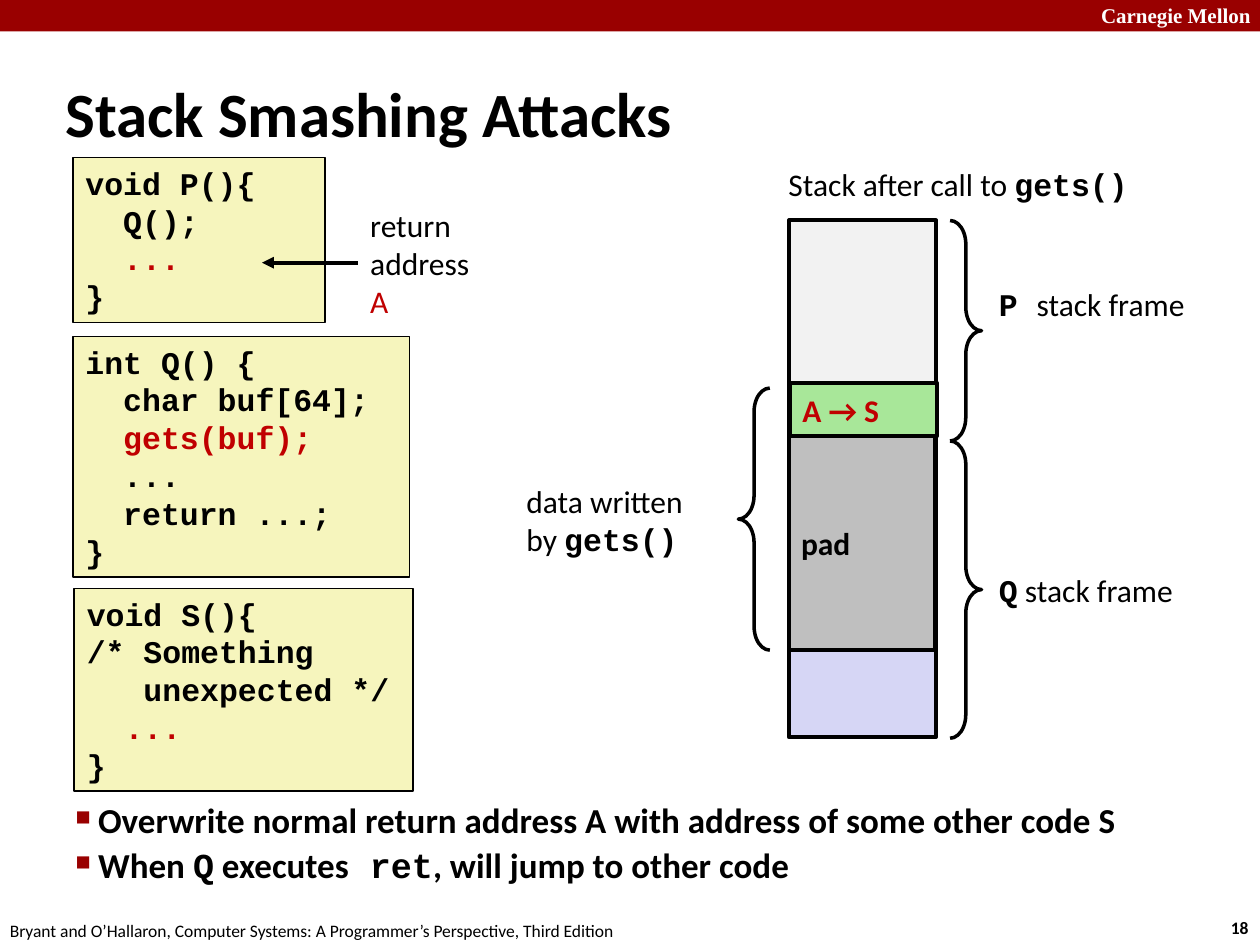
import pptx
import pptx.util
import pptx.dml.color
import pptx.enum.shapes
import pptx.enum.text
import pptx.oxml
import pptx.oxml.ns
from dataclasses import dataclass
from pptx.util import Inches

SHAPE = pptx.enum.shapes.MSO_SHAPE
ANCHOR = pptx.enum.text.MSO_ANCHOR
NAMESPACE = pptx.oxml.ns.nsdecls("a")


@dataclass
class Theme:
    sans: str = "Calibri"
    mono: str = "Courier New"
    serif: str = "Times New Roman"
    black: str = "000000"
    white: str = "FFFFFF"
    banner: str = "990000"
    accent: str = "C00000"
    code_fill: str = "F6F5BD"
    caller_fill: str = "F2F2F2"
    callee_fill: str = "D6D6F5"
    pad_fill: str = "BFBFBF"
    address_fill: str = "A8E799"
    title: int = 36
    bullet: int = 20
    normal: int = 18
    header: int = 12
    footer: int = 10


theme = Theme()
deck = pptx.Presentation()
deck.slide_width, deck.slide_height = Inches(10), Inches(7.5)
page = deck.slides.add_slide(deck.slide_layouts[6])


def write(box, lines, size=theme.normal, anchor=ANCHOR.MIDDLE, wrap=False):
    """Fill a shape with lines of (text, font, bold, colour) runs."""
    frame = box.text_frame
    frame.word_wrap = wrap
    frame.vertical_anchor = anchor
    for index, line in enumerate(lines):
        para = frame.paragraphs[0] if index == 0 else frame.add_paragraph()
        para.alignment = pptx.enum.text.PP_ALIGN.LEFT
        for text, font, bold, colour in line:
            span = para.add_run()
            span.text = text
            span.font.name = font
            span.font.size = pptx.util.Pt(size)
            span.font.bold = bold
            span.font.color.rgb = pptx.dml.color.RGBColor.from_string(colour)
    return box


def draw(kind, place, fill=None, line_width=None):
    shape = page.shapes.add_shape(kind, *map(Inches, place))
    shape.shadow.inherit = False
    if fill:
        shape.fill.solid()
        shape.fill.fore_color.rgb = pptx.dml.color.RGBColor.from_string(fill)
    else:
        shape.fill.background()
    if line_width:
        shape.line.width = pptx.util.Pt(line_width)
        shape.line.color.rgb = pptx.dml.color.RGBColor.from_string(theme.black)
    else:
        shape.line.fill.background()
    return shape


# Banner, footer and title
draw(SHAPE.RECTANGLE, (0, 0, 10, 0.25), theme.banner)
margin_texts = [
    ((8.64, -0.03, 1.43, 0.3), "Carnegie Mellon", theme.serif, True, theme.white, theme.header),
    ((9.67, 7.23, 0.37, 0.27), "18", theme.sans, True, theme.black, theme.footer),
    ((-0.02, 7.25, 5.08, 0.27),
     "Bryant and O’Hallaron, Computer Systems: A Programmer’s Perspective, Third Edition",
     theme.sans, False, theme.black, theme.footer),
]
for place, text, font, bold, colour, size in margin_texts:
    box = page.shapes.add_textbox(*map(Inches, place))
    write(box, [[(text, font, bold, colour)]], size, ANCHOR.TOP)

title = page.shapes.add_textbox(Inches(0.42), Inches(0.58), Inches(9.08), Inches(0.63))
write(title, [[("Stack Smashing Attacks", theme.sans, True, theme.black)]], theme.title, wrap=True)

# Bullets
bullets = page.shapes.add_textbox(Inches(0.5), Inches(6.08), Inches(9.03), Inches(1.25))
write(bullets, [
    [("Overwrite normal return address A with address of some other code S",
      theme.sans, True, theme.black)],
    [("When ", theme.sans, True, theme.black), ("Q", theme.mono, True, theme.black),
     (" executes", theme.sans, True, theme.black), (" ret", theme.mono, True, theme.black),
     (", will jump to other code", theme.sans, True, theme.black)],
], theme.bullet, wrap=True)
for index, para in enumerate(bullets.text_frame.paragraphs):
    para.line_spacing = 0.9
    if index:
        para.space_before = pptx.util.Pt(4)
    properties = para._p.get_or_add_pPr()
    properties.set("marL", str(Inches(0.18)))
    properties.set("indent", str(Inches(-0.38)))
    for element in (f'<a:buClr {NAMESPACE}><a:srgbClr val="{theme.banner}"/></a:buClr>',
                    f'<a:buSzPct {NAMESPACE} val="60000"/>',
                    f'<a:buChar {NAMESPACE} char="■"/>'):
        properties.append(pptx.oxml.parse_xml(element))

# Code listings: highlighted text is drawn in the accent colour
listings = [
    ((0.58, 1.25, 2, 1.31), ["void P(){", "  Q();", "  ...", "}"], "..."),
    ((0.58, 2.67, 2.67, 1.91),
     ["int Q() {", "  char buf[64];", "  gets(buf);", "  ...", "  return ...;", "}"], "gets(buf);"),
    ((0.59, 4.67, 2.69, 1.61),
     ["void S(){", "/* Something", "   unexpected */", "  ...", "}"], "..."),
]
for place, code, highlight in listings:
    lines = []
    for text in code:
        if text.strip() == highlight:
            lines.append([("  ", theme.mono, True, theme.black),
                          (highlight, theme.mono, True, theme.accent)])
        else:
            lines.append([(text, theme.mono, True, theme.black)])
    write(draw(SHAPE.RECTANGLE, place, theme.code_fill, 1), lines, anchor=ANCHOR.TOP, wrap=True)

# Return address label and its arrow
return_label = page.shapes.add_textbox(Inches(2.84), Inches(1.58), Inches(1), Inches(1.01))
write(return_label, [[("return", theme.sans, False, theme.black)],
                     [("address", theme.sans, False, theme.black)],
                     [("A", theme.sans, False, theme.accent)]])
arrow = page.shapes.add_connector(pptx.enum.shapes.MSO_CONNECTOR.STRAIGHT,
                                  Inches(2.84), Inches(2.08), Inches(2.08), Inches(2.08))
arrow.begin_connect(return_label, 1)
arrow.end_y = arrow.begin_y
arrow.line.width = pptx.util.Pt(2.25)
arrow.line.color.rgb = pptx.dml.color.RGBColor.from_string(theme.black)
arrow.line._get_or_add_ln().append(pptx.oxml.parse_xml(f'<a:tailEnd {NAMESPACE} type="triangle"/>'))
arrow._element.spPr.append(pptx.oxml.parse_xml(f"<a:effectLst {NAMESPACE}/>"))

# Stack
stack = [
    ((6.26, 1.75, 1.17, 1.7), theme.caller_fill, None, None),
    ((6.26, 3.45, 1.17, 2.4), theme.callee_fill, None, None),
    ((6.26, 3.45, 1.16, 1.71), theme.pad_fill, "pad", theme.black),
    ((6.27, 3.04, 1.17, 0.42), theme.address_fill, "A → S", theme.accent),
]
for place, fill, text, colour in stack:
    block = draw(SHAPE.RECTANGLE, place, fill, 2.25)
    if text:
        write(block, [[(text, theme.sans, True, colour)]], wrap=True)

# Braces and stack labels
for kind, place in [(SHAPE.RIGHT_BRACE, (7.54, 1.75, 0.25, 1.75)),
                    (SHAPE.RIGHT_BRACE, (7.54, 3.5, 0.25, 2.36)),
                    (SHAPE.LEFT_BRACE, (5.86, 3.08, 0.25, 2.08))]:
    brace = draw(kind, place, line_width=2)
    brace.adjustments[0] = 0.75

stack_labels = [
    ((6.16, 1.26, 2.93, 0.4), [[("Stack after call to ", theme.sans, False, theme.black),
                                ("gets()", theme.mono, True, theme.black)]]),
    ((7.83, 2.21, 1.7, 0.4), [[("P ", theme.mono, True, theme.black),
                               ("stack frame", theme.sans, False, theme.black)]]),
    ((7.83, 4.48, 1.61, 0.4), [[("Q", theme.mono, True, theme.black),
                                (" stack frame", theme.sans, False, theme.black)]]),
    ((4.08, 3.77, 1.5, 0.71), [[("data written", theme.sans, False, theme.black)],
                               [("by ", theme.sans, False, theme.black),
                                ("gets()", theme.mono, True, theme.black)]]),
]
for place, lines in stack_labels:
    write(page.shapes.add_textbox(*map(Inches, place)), lines)

deck.save("out.pptx")
